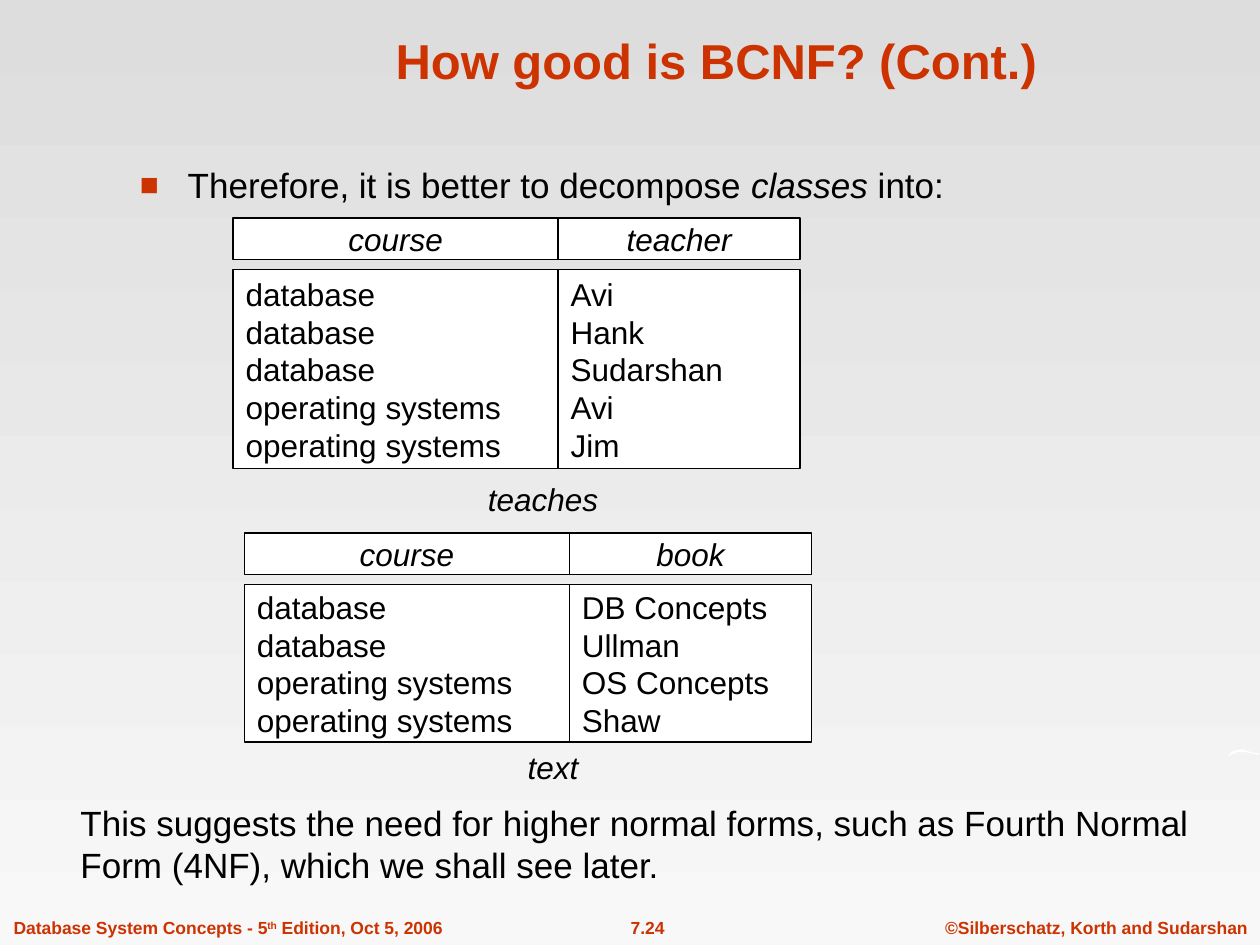
from dataclasses import dataclass

from lxml import etree
from pptx import Presentation
from pptx.dml.color import RGBColor
from pptx.enum import shapes, text
from pptx.oxml import ns
from pptx.util import Inches, Pt


@dataclass(frozen=True)
class Theme:
    font: str = "Arial"
    accent: RGBColor = RGBColor(0xCC, 0x33, 0x00)
    ink: RGBColor = RGBColor(0, 0, 0)
    paper: RGBColor = RGBColor(255, 255, 255)
    shade_top: RGBColor = RGBColor(0xDD, 0xDD, 0xDD)
    shade_bottom: RGBColor = RGBColor(0xF8, 0xF8, 0xF8)
    title: int = 28
    body: int = 20
    cell: int = 18
    footer: int = 10


@dataclass(frozen=True)
class Area:
    left: float
    top: float
    width: float
    height: float

    def lengths(self) -> tuple:
        return tuple(Inches(v) for v in (self.left, self.top, self.width, self.height))


@dataclass(frozen=True)
class Column:
    heading: str
    values: tuple[str, ...]


@dataclass(frozen=True)
class Relation:
    left: float
    top: float
    body_height: float
    columns: tuple[Column, Column]
    caption: str
    caption_area: Area


@dataclass(frozen=True)
class Footer:
    area: Area
    spans: tuple[tuple[str, int], ...]
    align: text.PP_ALIGN


THEME = Theme()
COLUMN_WIDTHS = (2.58, 1.92)
HEADING_HEIGHT = 0.33
HEADING_GAP = 0.08

RELATIONS = (
    Relation(
        1.85, 1.73, 1.58,
        (
            Column("course", ("database",) * 3 + ("operating systems",) * 2),
            Column("teacher", ("Avi", "Hank", "Sudarshan", "Avi", "Jim")),
        ),
        "teaches", Area(3.66, 3.76, 1.3, 0.4),
    ),
    Relation(
        1.94, 4.23, 1.25,
        (
            Column("course", ("database",) * 2 + ("operating systems",) * 2),
            Column("book", ("DB Concepts", "Ullman", "OS Concepts", "Shaw")),
        ),
        "text", Area(3.99, 5.89, 0.8, 0.4),
    ),
)

FOOTERS = (
    Footer(
        Area(7.2, 7.23, 2.8, 0.27),
        (("©Silberschatz, Korth and Sudarshan", 0),),
        text.PP_ALIGN.RIGHT,
    ),
    Footer(Area(4.65, 7.23, 0.98, 0.27), (("7.24", 0),), text.PP_ALIGN.CENTER),
    Footer(
        Area(0.01, 7.23, 4, 0.27),
        (("Database System Concepts - 5", 0), ("th", 30), (" Edition, Oct 5, 2006", 0)),
        text.PP_ALIGN.LEFT,
    ),
)

SWOOSH = (
    (9.75, 6.01), (9.76, 5.98), (9.79, 5.96), (9.83, 5.95), (9.87, 5.95),
    (9.93, 5.97), (10, 5.98), (9.98, 5.99), (9.94, 5.98), (9.88, 5.97),
    (9.82, 5.97), (9.8, 5.98), (9.77, 5.99),
)


def add_span(para, words: str, *, size: int, color=THEME.ink, bold=False,
             italic=False, raised: int = 0) -> None:
    span = para.add_run()
    span.text = words
    font = span.font
    font.name, font.size = THEME.font, Pt(size)
    font.bold, font.italic = bold, italic
    font.color.rgb = color
    if raised:
        span._r.get_or_add_rPr().set("baseline", str(raised * 1000))


def set_frame(box, anchor=text.MSO_ANCHOR.TOP):
    frame = box.text_frame
    frame.word_wrap = True
    frame.vertical_anchor = anchor
    frame.auto_size = text.MSO_AUTO_SIZE.NONE
    return frame


def place(box, area: Area) -> None:
    box.left, box.top, box.width, box.height = area.lengths()


def add_bullet(para) -> None:
    properties = para._p.get_or_add_pPr()
    properties.set("marL", str(Inches(0.38)))
    properties.set("indent", str(-Inches(0.38)))
    color = etree.SubElement(properties, ns.qn("a:buClr"))
    etree.SubElement(color, ns.qn("a:srgbClr"), val=str(THEME.accent))
    etree.SubElement(properties, ns.qn("a:buSzPct"), val="90000")
    etree.SubElement(properties, ns.qn("a:buFont"), typeface=THEME.font)
    etree.SubElement(properties, ns.qn("a:buChar"), char="■")


def draw_cell(page, area: Area, lines: tuple[str, ...], align, italic: bool) -> None:
    box = page.shapes.add_shape(shapes.MSO_SHAPE.RECTANGLE, *area.lengths())
    box.shadow.inherit = False
    box.fill.solid()
    box.fill.fore_color.rgb = THEME.paper
    box.line.color.rgb = THEME.ink
    box.line.width = Pt(0.75)
    frame = set_frame(box, text.MSO_ANCHOR.MIDDLE)
    for index, line in enumerate(lines):
        para = frame.add_paragraph() if index else frame.paragraphs[0]
        para.alignment = align
        add_span(para, line, size=THEME.cell, italic=italic)


def draw_relation(page, relation: Relation) -> None:
    left = relation.left
    body_top = relation.top + HEADING_HEIGHT + HEADING_GAP
    for column, width in zip(relation.columns, COLUMN_WIDTHS):
        draw_cell(page, Area(left, relation.top, width, HEADING_HEIGHT),
                  (column.heading,), text.PP_ALIGN.CENTER, True)
        draw_cell(page, Area(left, body_top, width, relation.body_height),
                  column.values, text.PP_ALIGN.LEFT, False)
        left += width
    caption = page.shapes.add_textbox(*relation.caption_area.lengths())
    para = set_frame(caption, text.MSO_ANCHOR.MIDDLE).paragraphs[0]
    para.alignment = text.PP_ALIGN.CENTER
    add_span(para, relation.caption, size=THEME.cell, italic=True)


def draw_footer(page, footer: Footer) -> None:
    box = page.shapes.add_textbox(*footer.area.lengths())
    para = set_frame(box).paragraphs[0]
    para.alignment = footer.align
    for words, raised in footer.spans:
        add_span(para, words, size=THEME.footer, color=THEME.accent, bold=True,
                 raised=raised)


def draw_swoosh(page) -> None:
    start, *rest = [(Inches(x), Inches(y)) for x, y in SWOOSH]
    builder = page.shapes.build_freeform(*start)
    builder.add_line_segments(rest, close=True)
    swoosh = builder.convert_to_shape()
    swoosh.shadow.inherit = False
    swoosh.fill.solid()
    swoosh.fill.fore_color.rgb = THEME.paper
    swoosh.line.fill.background()


def paint_background(page) -> None:
    fill = page.background.fill
    fill.gradient()
    fill.gradient_angle = 270
    for stop, color in zip(fill.gradient_stops, (THEME.shade_top, THEME.shade_bottom)):
        stop.color.rgb = color


def main() -> None:
    deck = Presentation()
    deck.slide_width, deck.slide_height = Inches(10), Inches(7.5)
    page = deck.slides.add_slide(deck.slide_layouts[1])
    paint_background(page)
    for footer in FOOTERS:
        draw_footer(page, footer)
    draw_swoosh(page)

    title = page.shapes.title
    place(title, Area(1.79, 0.13, 7.79, 0.63))
    para = set_frame(title, text.MSO_ANCHOR.BOTTOM).paragraphs[0]
    para.alignment = text.PP_ALIGN.CENTER
    add_span(para, "How good is BCNF? (Cont.)", size=THEME.title,
             color=THEME.accent, bold=True)

    body = page.placeholders[1]
    place(body, Area(1.01, 1.25, 7.35, 0.58))
    para = set_frame(body).paragraphs[0]
    para.space_before = Pt(0)
    add_bullet(para)
    for words, italic in (("Therefore, it is better to decompose ", False),
                          ("classes ", True), ("into:", False)):
        add_span(para, words, size=THEME.body, italic=italic)

    for relation in RELATIONS:
        draw_relation(page, relation)

    closing = page.shapes.add_textbox(*Area(0.54, 6.31, 9.28, 0.58).lengths())
    add_span(set_frame(closing).paragraphs[0],
             "This suggests the need for higher normal forms, such as Fourth Normal "
             "Form (4NF), which we shall see later.", size=THEME.body)
    deck.save("out.pptx")


if __name__ == "__main__":
    main()
